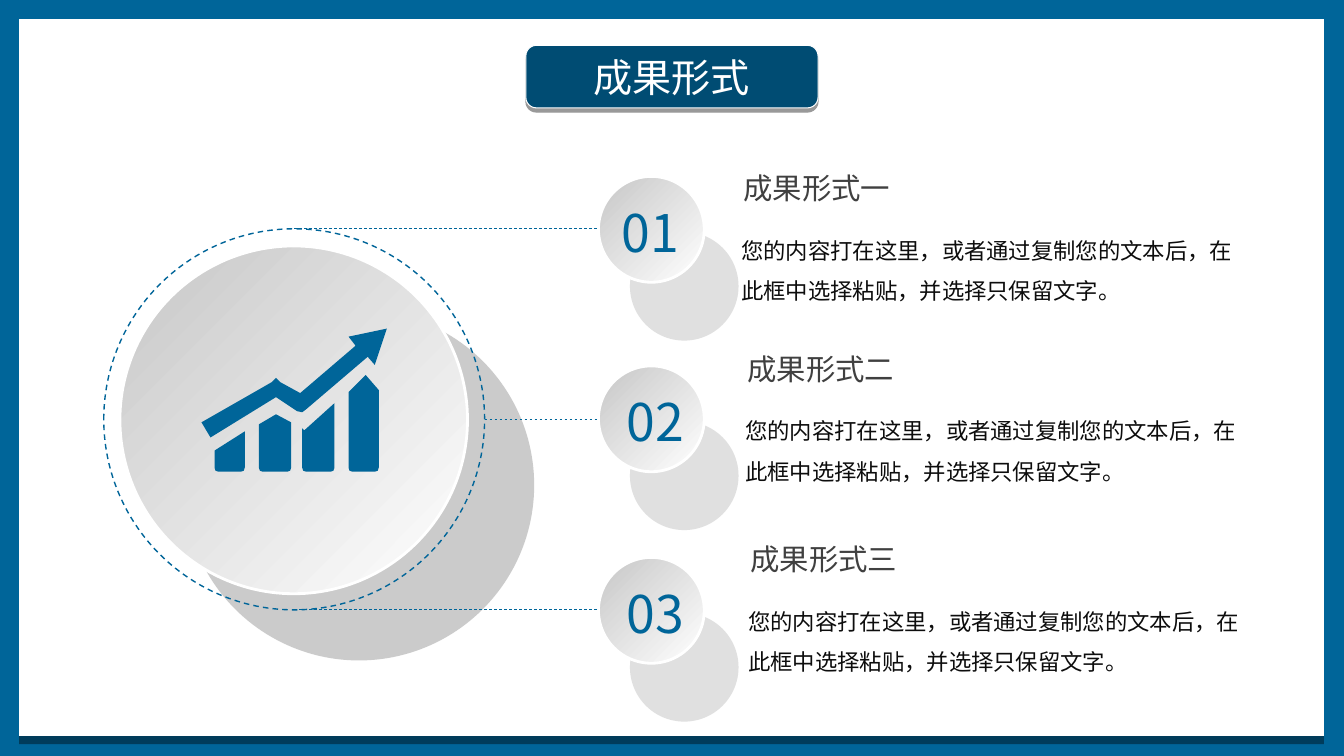
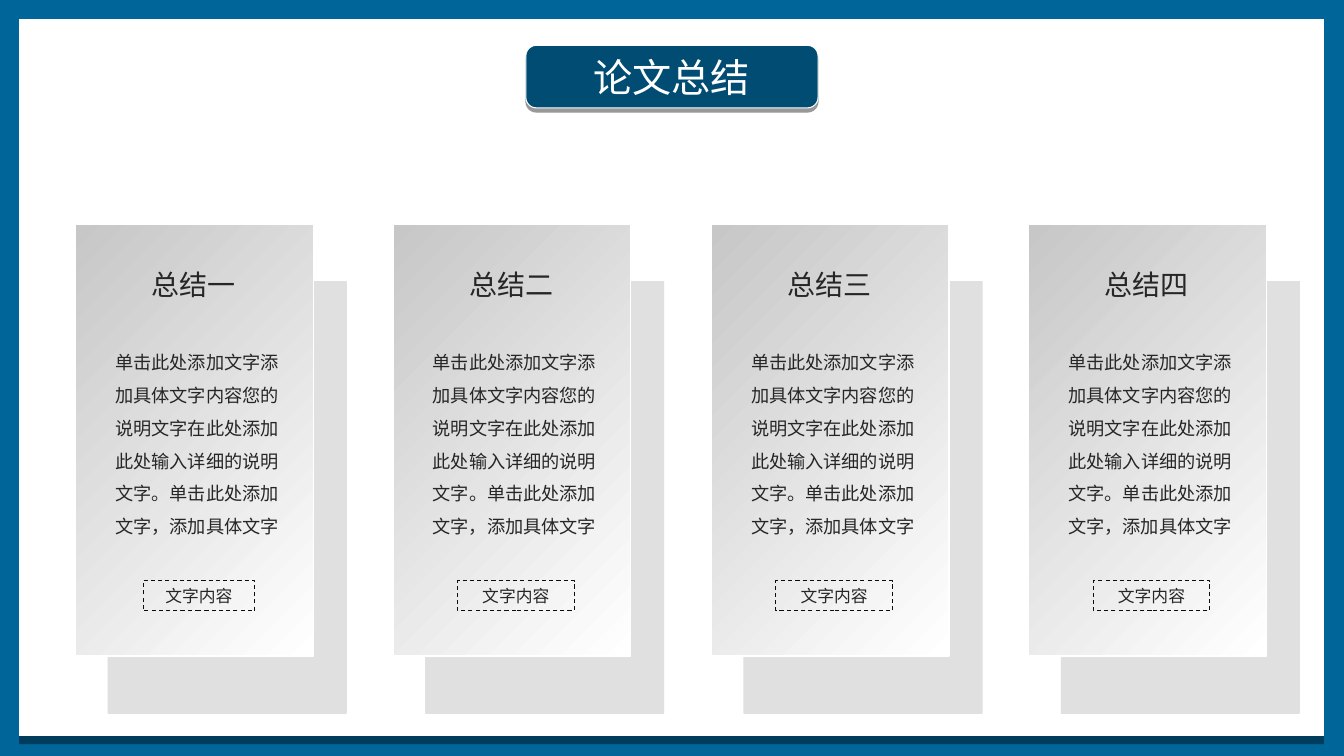
"""Build two thesis slides: forms of results and summary cards."""
from lxml import etree
from pptx import Presentation
from pptx.dml.color import RGBColor
from pptx.enum.dml import MSO_LINE
from pptx.enum.shapes import MSO_CONNECTOR, MSO_SHAPE
from pptx.enum.text import MSO_ANCHOR, MSO_AUTO_SIZE, PP_ALIGN
from pptx.oxml.ns import qn
from pptx.util import Pt

PX = 9144
RECT, ROUNDED, OVAL = MSO_SHAPE.RECTANGLE, MSO_SHAPE.ROUNDED_RECTANGLE, MSO_SHAPE.OVAL
DASH, STRAIGHT = MSO_LINE.DASH, MSO_CONNECTOR.STRAIGHT
LEFT, CENTER = PP_ALIGN.LEFT, PP_ALIGN.CENTER
BLUE, NAVY, WHITE, SILVER = "006599", "004C73", "FFFFFF", "C7C7C7"
INK, DARK, HEADING = "0D0D0D", "262626", "404040"
SANS, LATIN = "Noto Sans CJK SC", "Arial"
SILVER_FADE = (WHITE, SILVER)

FRAME_SHADOW = ("000000", 40, 6, 90)
BADGE_SHADOW = ("000000", 40, 3, 90)
DISC_SHADOW = ("7F7F7F", 40, 66, 45)
SOFT_SHADOW = ("7F7F7F", 23, 47, 60)

RESULTS_TITLE = "成果形式"
RESULT_TEXT = "您的内容打在这里，或者通过复制您的文本后，在此框中选择粘贴，并选择只保留文字。"
RESULTS = [
    {"number": "01", "heading": "成果形式一", "disc_y": 175, "number_x": 607, "text_at": (728, 164)},
    {"number": "02", "heading": "成果形式二", "disc_y": 363, "number_x": 612, "text_at": (732, 343)},
    {"number": "03", "heading": "成果形式三", "disc_y": 553, "number_x": 612, "text_at": (735, 532)},
]
LINKS = [(292, 227), (481, 416), (292, 605)]
DISC_X, DISC_SIZE = 594, 105

ARROW = [(200, 419), (270, 379), (274, 375), (278, 379), (298, 390), (353, 343), (346, 334),
         (384, 326), (372, 362), (365, 354), (304, 406), (300, 409), (295, 408), (274, 394), (209, 434)]
BAR_TOPS = [
    [(213, 447), (243, 428)],
    [(257, 421), (274, 411), (289, 419)],
    [(300, 425), (302, 427), (332, 400)],
    [(346, 389), (363, 372), (376, 387)],
]
BAR_BOTTOM = 468

SUMMARY_TITLE = "论文总结"
SUMMARY_TEXT = "单击此处添加文字添加具体文字内容您的说明文字在此处添加此处输入详细的说明文字。单击此处添加文字，添加具体文字"
SUMMARY_LABEL = "文字内容"
SUMMARIES = [("总结一", 67, 111), ("总结二", 64, 116), ("总结三", 64, 116), ("总结四", 64, 116)]
FIRST_CARD_X, LAST_CARD_X = 75, 1021


def color(value):
    return RGBColor.from_string(value)


def emu(*lengths):
    return [length * PX for length in lengths]


def set_line(line, value, width, dash=None):
    line.color.rgb = color(value)
    line.width = Pt(width)
    if dash:
        line.dash_style = dash


def add_shadow(shape, value, alpha, distance, angle):
    effects = shape.element.spPr.find(qn("a:effectLst"))
    shadow = etree.SubElement(effects, qn("a:outerShdw"), blurRad="0", dist=str(Pt(distance)),
                              dir=str(angle * 60000), algn="ctr", rotWithShape="0")
    tint = etree.SubElement(shadow, qn("a:srgbClr"), val=value)
    etree.SubElement(tint, qn("a:alpha"), val=str(alpha * 1000))


def add_figure(slide, kind, box, fill=None, line=None, shadow=None):
    shape = slide.shapes.add_shape(kind, *emu(*box))
    shape.shadow.inherit = False
    if fill is None:
        shape.fill.background()
    elif isinstance(fill, tuple):
        shape.fill.gradient()
        shape.fill.gradient_angle = 135
        for stop, value in zip(shape.fill.gradient_stops, fill):
            stop.color.rgb = color(value)
    else:
        shape.fill.solid()
        shape.fill.fore_color.rgb = color(fill)
    if line:
        set_line(shape.line, *line)
    else:
        shape.line.fill.background()
    if shadow:
        add_shadow(shape, *shadow)
    return shape


def write(frame, text, size, value, font=SANS, align=LEFT, spacing=1.0):
    frame.text = text
    paragraph = frame.paragraphs[0]
    paragraph.alignment = align
    paragraph.line_spacing = spacing
    paragraph.font.size = Pt(size)
    paragraph.font.color.rgb = color(value)
    paragraph.font.name = font
    defaults = paragraph._p.pPr.find(qn("a:defRPr"))
    etree.SubElement(defaults, qn("a:ea"), typeface=SANS)


def add_text(slide, box, text, size, value, wrap=True, **style):
    frame = slide.shapes.add_textbox(*emu(*box)).text_frame
    frame.word_wrap = wrap
    frame.auto_size = MSO_AUTO_SIZE.SHAPE_TO_FIT_TEXT
    write(frame, text, size, value, **style)


def decorate_master(prs, slide):
    master = prs.slide_master
    master.background.fill.solid()
    master.background.fill.fore_color.rgb = color(BLUE)
    frame = add_figure(slide, RECT, (19, 19, 1295, 711), WHITE, shadow=FRAME_SHADOW)
    badge = add_figure(slide, ROUNDED, (522, 45, 290, 62), NAVY, (WHITE, 0.75), BADGE_SHADOW)
    for index, part in enumerate((frame, badge)):
        part.element.nvSpPr.cNvPr.set("id", str(101 + index))
        master.shapes.element.insert(2 + index, part.element)


def add_titled_slide(prs, text):
    slide = prs.slides.add_slide(prs.slide_layouts[5])
    title = slide.shapes.title
    title.left, title.top, title.width, title.height = emu(467, 48, 399, 57)
    title.text_frame.auto_size = MSO_AUTO_SIZE.NONE
    title.text_frame.vertical_anchor = MSO_ANCHOR.MIDDLE
    write(title.text_frame, text, 28, WHITE, font=LATIN, align=CENTER)
    return slide


def add_growth_icon(slide):
    contours = [ARROW]
    for top in BAR_TOPS:
        left, right = top[0][0], top[-1][0]
        contours.append(top + [(right, BAR_BOTTOM - 4), (right - 1, BAR_BOTTOM - 1),
                               (right - 4, BAR_BOTTOM), (left + 4, BAR_BOTTOM),
                               (left + 1, BAR_BOTTOM - 1), (left, BAR_BOTTOM - 4)])
    builder = slide.shapes.build_freeform(*contours[0][0], scale=PX)
    for index, points in enumerate(contours):
        if index:
            builder.move_to(*points[0])
        builder.add_line_segments(points[1:], close=True)
    icon = builder.convert_to_shape()
    icon.shadow.inherit = False
    icon.fill.solid()
    icon.fill.fore_color.rgb = color(BLUE)
    icon.line.fill.background()


def fill_results(slide):
    add_figure(slide, OVAL, (119, 244, 345, 345), SILVER_FADE, (WHITE, 2), DISC_SHADOW)
    add_figure(slide, OVAL, (103, 227, 378, 378), line=(BLUE, 1, DASH))
    for x, y in LINKS:
        link = slide.shapes.add_connector(STRAIGHT, *emu(x, y, DISC_X, y))
        set_line(link.line, BLUE, 0.5, DASH)
        etree.SubElement(link.element.spPr, qn("a:effectLst"))
    for result in RESULTS:
        disc_y, (x, y) = result["disc_y"], result["text_at"]
        add_figure(slide, OVAL, (DISC_X, disc_y, DISC_SIZE, DISC_SIZE), SILVER_FADE,
                   (WHITE, 2), SOFT_SHADOW)
        add_text(slide, (result["number_x"], disc_y + 19, 79, 72), result["number"], 37, BLUE, wrap=False)
        add_text(slide, (x - 2, y + 53, 517, 90), RESULT_TEXT, 16, INK, spacing=1.5)
        add_text(slide, (x, y, 295, 45), result["heading"], 21, HEADING)
    add_growth_icon(slide)


def fill_summary(slide):
    pitch = (LAST_CARD_X - FIRST_CARD_X) / (len(SUMMARIES) - 1)
    for index, (heading, label_offset, label_width) in enumerate(SUMMARIES):
        x = round(FIRST_CARD_X + index * pitch)
        add_figure(slide, RECT, (x, 223, 236, 428), SILVER_FADE, (WHITE, 1), SOFT_SHADOW)
        add_text(slide, (x - 1, 260, 237, 44), heading, 20, DARK, font=LATIN, align=CENTER)
        add_text(slide, (x + 26, 333, 189, 205), SUMMARY_TEXT, 13, DARK, align=CENTER, spacing=1.5)
        label = add_figure(slide, RECT, (x + label_offset, 576, label_width, 30), line=(INK, 0.75, DASH))
        write(label.text_frame, SUMMARY_LABEL, 12, DARK, font=LATIN, align=CENTER)


def main():
    prs = Presentation()
    prs.slide_width, prs.slide_height = emu(1334, 750)
    results = add_titled_slide(prs, RESULTS_TITLE)
    decorate_master(prs, results)
    fill_results(results)
    fill_summary(add_titled_slide(prs, SUMMARY_TITLE))
    prs.save("out.pptx")


if __name__ == "__main__":
    main()
